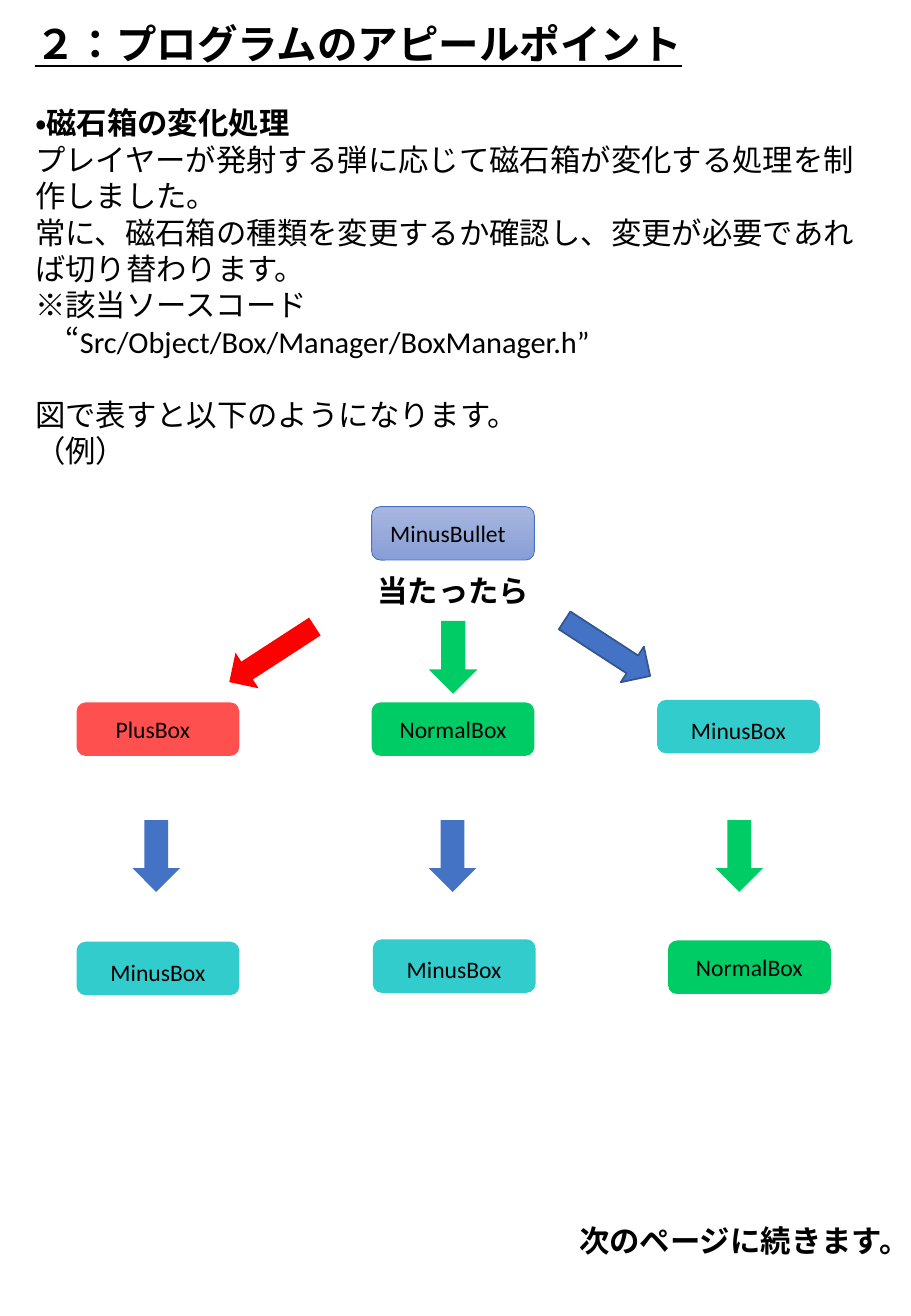
from dataclasses import dataclass

from pptx import Presentation
from pptx.dml.color import RGBColor
from pptx.enum.lang import MSO_LANGUAGE_ID
from pptx.enum.shapes import MSO_SHAPE
from pptx.enum.text import MSO_ANCHOR, MSO_AUTO_SIZE, PP_ALIGN
from pptx.util import Pt

ROUNDED = MSO_SHAPE.ROUNDED_RECTANGLE
ARROW = MSO_SHAPE.RIGHT_ARROW
LEFT, CENTER = PP_ALIGN.LEFT, PP_ALIGN.CENTER
TOP, MIDDLE = MSO_ANCHOR.TOP, MSO_ANCHOR.MIDDLE
NO_AUTOFIT = MSO_AUTO_SIZE.NONE
JAPANESE = MSO_LANGUAGE_ID.JAPANESE


@dataclass(frozen=True)
class Theme:
    font: str = "Calibri"
    title_size: float = 24
    body_size: float = 18
    label_size: float = 14
    text: str = "000000"
    red: str = "FF0000"
    coral: str = "FF5050"
    green: str = "00CC66"
    teal: str = "33CCCC"
    blue: str = "4472C4"
    navy: str = "325491"
    bullet_top: str = "A8B7DF"
    bullet_bottom: str = "889ED7"


THEME = Theme()


@dataclass(frozen=True)
class Node:
    label: str
    left: float
    top: float
    fill: str
    shift_x: float = 0
    shift_y: float = 0
    width: float = 96.5
    height: float = 31.7


@dataclass(frozen=True)
class Arrow:
    left: float
    top: float
    fill: str
    width: float = 42.5
    height: float = 28.1
    rotation: float = 90
    line: str = ""


BULLET = Node("MinusBullet", 220.3, 300.2, THEME.bullet_top, shift_x=-3)
NODES = [
    Node("PlusBox", 45.4, 416.2, THEME.coral, shift_x=-3),
    Node("NormalBox", 220.3, 416.2, THEME.green),
    Node("MinusBox", 389.5, 414.7, THEME.teal, shift_y=2),
    Node("MinusBox", 45.4, 558, THEME.teal, shift_y=2),
    Node("MinusBox", 221, 556.6, THEME.teal, shift_y=2),
    Node("NormalBox", 396, 557.3, THEME.green),
]
ARROWS = [
    Arrow(131, 375.1, THEME.red, 60.5, 25.2, 147),
    Arrow(247, 375.1, THEME.green, 43.2, 28.8),
    Arrow(329.8, 371.5, THEME.blue, 60.5, 25.2, 33, THEME.navy),
    Arrow(71.3, 493.2, THEME.blue),
    Arrow(247, 493.2, THEME.blue),
    Arrow(416.9, 493.2, THEME.green),
]

TITLE = "２：プログラムのアピールポイント"
HEADING = "・磁石箱の変化処理"
DETAILS = [
    "プレイヤーが発射する弾に応じて磁石箱が変化する処理を制作しました。",
    "常に、磁石箱の種類を変更するか確認し、変更が必要であれば切り替わります。",
    "※該当ソースコード",
    "\u3000“Src/Object/Box/Manager/BoxManager.h”",
]
EXAMPLE_INTRO = "図で表すと以下のようになります。"
EXAMPLE_MARK = "（例）"


def color(value: str) -> RGBColor:
    return RGBColor.from_string(value)


def write(frame, text: str, *, size: float = THEME.body_size, bold: bool = False,
          underline: bool = False, align=LEFT, before: float = 0, first: bool = True):
    para = frame.paragraphs[0] if first else frame.add_paragraph()
    para.alignment = align
    para.space_before = Pt(before)
    span = para.add_run()
    span.text = text
    font = span.font
    font.name, font.size = THEME.font, Pt(size)
    font.bold, font.underline = bold, underline
    font.color.rgb = color(THEME.text)
    font.language_id = JAPANESE


def place(shape, left: float, top: float, width: float, height: float):
    shape.left, shape.top = Pt(left), Pt(top)
    shape.width, shape.height = Pt(width), Pt(height)


def add_text_box(page, left: float, top: float, width: float, height: float,
                 wrap: bool = False):
    box = page.shapes.add_textbox(Pt(left), Pt(top), Pt(width), Pt(height))
    box.text_frame.word_wrap = wrap
    return box.text_frame


def add_filled_shape(page, kind, item: Node | Arrow):
    shape = page.shapes.add_shape(kind, Pt(item.left), Pt(item.top),
                                  Pt(item.width), Pt(item.height))
    shape.shadow.inherit = False
    shape.fill.solid()
    shape.fill.fore_color.rgb = color(item.fill)
    shape.line.fill.background()
    return shape


def add_node(page, node: Node):
    shape = add_filled_shape(page, ROUNDED, node)
    frame = shape.text_frame
    frame.word_wrap = True
    frame.vertical_anchor = MIDDLE
    frame.margin_left = Pt(max(0, 2 * node.shift_x))
    frame.margin_right = Pt(max(0, -2 * node.shift_x))
    frame.margin_top = Pt(max(0, 2 * node.shift_y))
    frame.margin_bottom = Pt(max(0, -2 * node.shift_y))
    write(frame, node.label, size=THEME.label_size, align=CENTER)
    return shape


def add_bullet(page, node: Node):
    shape = add_node(page, node)
    shape.fill.gradient()
    shape.fill.gradient_angle = 270
    for stop, value in zip(shape.fill.gradient_stops, (THEME.bullet_top, THEME.bullet_bottom)):
        stop.color.rgb = color(value)
    shape.line.color.rgb = color(THEME.blue)
    shape.line.width = Pt(0.5)


def add_arrow(page, arrow: Arrow):
    shape = add_filled_shape(page, ARROW, arrow)
    shape.rotation = arrow.rotation
    if arrow.line:
        shape.line.color.rgb = color(arrow.line)
        shape.line.width = Pt(1)


def add_title(page):
    place(page.shapes.title, 13.7, 7.9, 502, 38)
    frame = page.shapes.title.text_frame
    frame.auto_size = NO_AUTOFIT
    frame.word_wrap = True
    frame.vertical_anchor = TOP
    write(frame, TITLE, size=THEME.title_size, bold=True, underline=True)


def add_body(page):
    frame = add_text_box(page, 13.7, 58.3, 502, 225, wrap=True)
    write(frame, HEADING, bold=True)
    for detail in DETAILS:
        write(frame, detail, first=False)
    write(frame, EXAMPLE_INTRO, before=21.6, first=False)
    write(frame, EXAMPLE_MARK, first=False)


deck = Presentation()
deck.slide_width, deck.slide_height = Pt(540), Pt(779.76)
page = deck.slides.add_slide(deck.slide_layouts.get_by_name("Title Only"))
add_title(page)
add_body(page)
add_bullet(page, BULLET)
write(add_text_box(page, 216.7, 335.5, 115.2, 28.8), "当たったら", bold=True)
for node in NODES:
    add_node(page, node)
for arrow in ARROWS:
    add_arrow(page, arrow)
write(add_text_box(page, 336.2, 720.7, 203, 28.8), "次のページに続きます。", bold=True)
deck.save("out.pptx")
